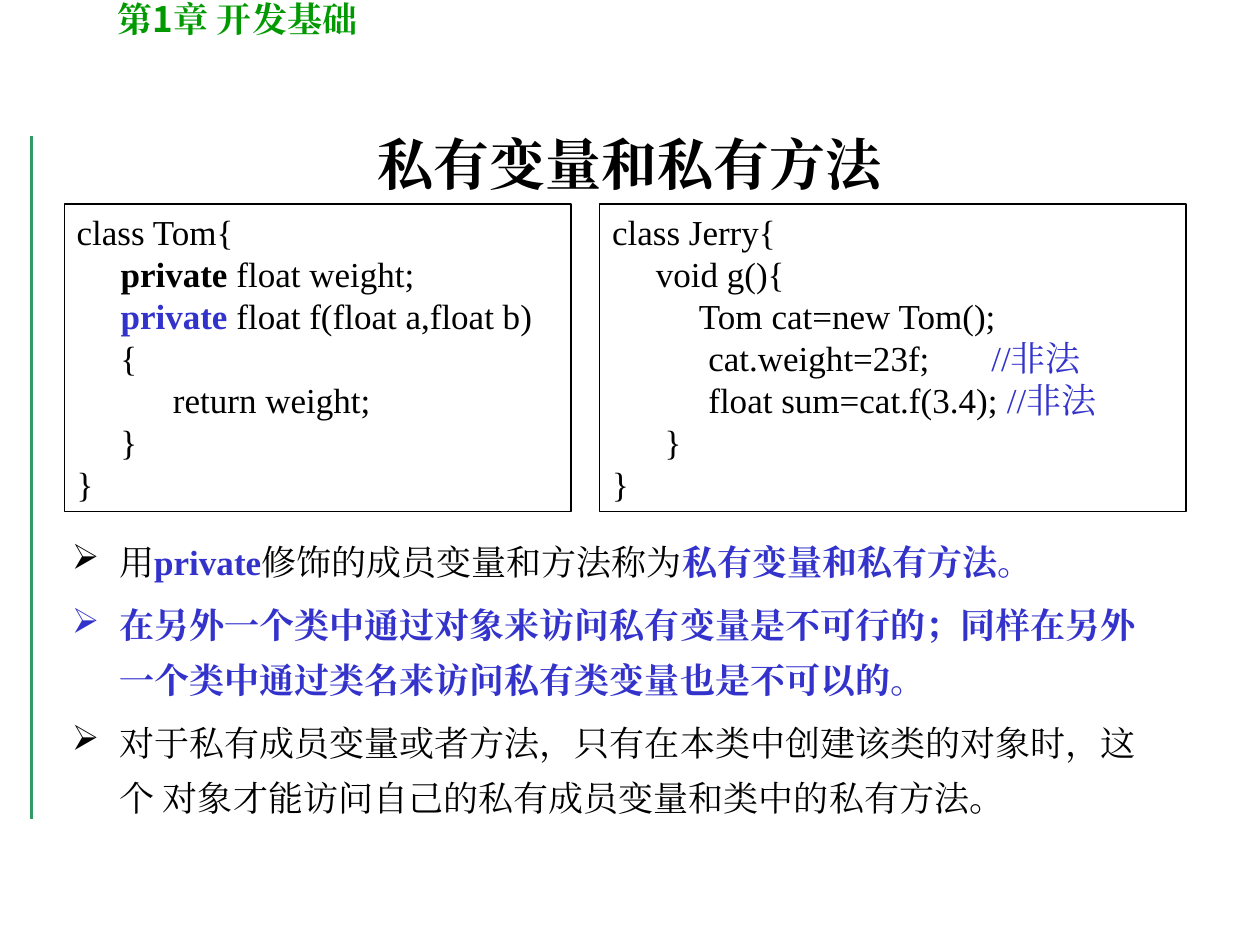
from lxml.etree import SubElement
from pptx import Presentation
from pptx.dml.color import RGBColor
from pptx.enum.shapes import MSO_CONNECTOR, MSO_SHAPE
from pptx.enum.text import MSO_ANCHOR, PP_ALIGN
from pptx.oxml.ns import qn
from pptx.util import Pt

COLORS = {"text": "000000", "key": "3333CC", "chapter": "009900", "rule": "339966"}
SERIF, SANS = "Times New Roman", "Noto Sans CJK SC"
INDENT = 27
BULLET = "➢"

PLAIN = {"color": "text"}
BOLD = {"color": "text", "bold": True}
KEY = {"color": "key", "bold": True}
NOTE = {"color": "key"}
CHAPTER = {"color": "chapter", "bold": True}
CHAPTER_SANS = {**CHAPTER, "name": SANS}
TITLE = {**BOLD, "size": 32}

HEADER = [
    ("第", CHAPTER), ("1", CHAPTER_SANS), ("章", CHAPTER),
    (" 开发", CHAPTER_SANS), ("基础", CHAPTER),
]
TOM_CODE = [
    [("class Tom{", PLAIN)],
    [("     ", PLAIN), ("private", BOLD), (" float weight;", PLAIN)],
    [("     ", PLAIN), ("private", KEY), (" float f(float a,float b)", PLAIN)],
    [("     {", PLAIN)],
    [("           return weight;", PLAIN)],
    [("     }", PLAIN)],
    [("}", PLAIN)],
]
JERRY_CODE = [
    [("class Jerry{", PLAIN)],
    [("     void g(){", PLAIN)],
    [("          Tom cat=new Tom();", PLAIN)],
    [("           cat.weight=23f;       ", PLAIN), ("//非法", NOTE)],
    [("           float sum=cat.f(3.4); ", PLAIN), ("//非法", NOTE)],
    [("      }", PLAIN)],
    [("}", PLAIN)],
]
POINTS = [
    [("用", PLAIN), ("private", KEY), ("修饰的成员变量和方法称为", PLAIN),
     ("私有变量和私有方法。", KEY)],
    [("在另外一个类中通过对象来访问私有变量是不可行的；同样在另外"
      "一个类中通过类名来访问私有类变量也是不可以的。", KEY)],
    [("对于私有成员变量或者方法，只有在本类中创建该类的对象时，这个 "
      "对象才能访问自己的私有成员变量和类中的私有方法。", PLAIN)],
]


def rgb(name):
    return RGBColor.from_string(COLORS[name])


def set_attributes(target, values):
    for name, value in values.items():
        setattr(target, name, value)


def add_span(para, text, style):
    span = para.add_run()
    span.text = text
    set_attributes(span.font, {
        "name": style.get("name", SERIF),
        "size": Pt(style.get("size", 20)),
        "bold": style.get("bold", False),
    })
    span.font.color.rgb = rgb(style["color"])
    SubElement(span.font._element, qn("a:ea"), typeface=SERIF)


def hang_indent(para):
    properties = para._p.get_or_add_pPr()
    properties.set("marL", str(Pt(INDENT)))
    properties.set("indent", str(-Pt(INDENT)))
    return properties


def add_bullet(para, color):
    properties = hang_indent(para)
    bullet_color = SubElement(properties, qn("a:buClr"))
    SubElement(bullet_color, qn("a:srgbClr"), val=COLORS[color])
    SubElement(properties, qn("a:buChar"), char=BULLET)


def fill_text(box, lines, anchor=MSO_ANCHOR.TOP, **para_format):
    frame = box.text_frame
    set_attributes(frame, {"word_wrap": True, "vertical_anchor": anchor})
    paras = []
    for index, spans in enumerate(lines):
        para = frame.add_paragraph() if index else frame.paragraphs[0]
        set_attributes(para, {"alignment": PP_ALIGN.LEFT, **para_format})
        for text, style in spans:
            add_span(para, text, style)
        paras.append(para)
    return paras


def add_text(page, bounds, lines, **options):
    box = page.shapes.add_textbox(*map(Pt, bounds))
    return fill_text(box, lines, **options)


def add_code(page, left, width, lines):
    box = page.shapes.add_shape(
        MSO_SHAPE.RECTANGLE, Pt(left), Pt(116.6), Pt(width), Pt(175.7))
    box.shadow.inherit = False
    box.fill.background()
    box.line.color.rgb = rgb("text")
    box.line.width = Pt(0.75)
    for para in fill_text(box, lines):
        hang_indent(para)


def add_points(page, bounds, points):
    paras = add_text(page, bounds, points, line_spacing=1.3)
    for index, (para, spans) in enumerate(zip(paras, points)):
        if index:
            para.space_before = Pt(5)
        add_bullet(para, spans[0][1]["color"])


def add_rule(page, x, top, bottom):
    rule = page.shapes.add_connector(
        MSO_CONNECTOR.STRAIGHT, Pt(x), Pt(top), Pt(x), Pt(bottom))
    rule.line.color.rgb = rgb("rule")
    rule.line.width = Pt(2.25)
    SubElement(rule._element.spPr, qn("a:effectLst"))


def main():
    deck = Presentation()
    set_attributes(deck, {"slide_width": Pt(720), "slide_height": Pt(540)})
    page = deck.slides.add_slide(deck.slide_layouts[6])
    add_rule(page, 18, 78, 468)
    add_text(page, (60, -5, 414, 31.5), [HEADER])
    add_text(page, (54, 48, 612, 90), [[("私有变量和私有方法", TITLE)]],
             anchor=MSO_ANCHOR.MIDDLE, alignment=PP_ALIGN.CENTER)
    add_code(page, 36.75, 289.5, TOM_CODE)
    add_code(page, 342.75, 335, JERRY_CODE)
    add_points(page, (34, 298, 641, 173.5), POINTS)
    deck.save("out.pptx")


if __name__ == "__main__":
    main()
